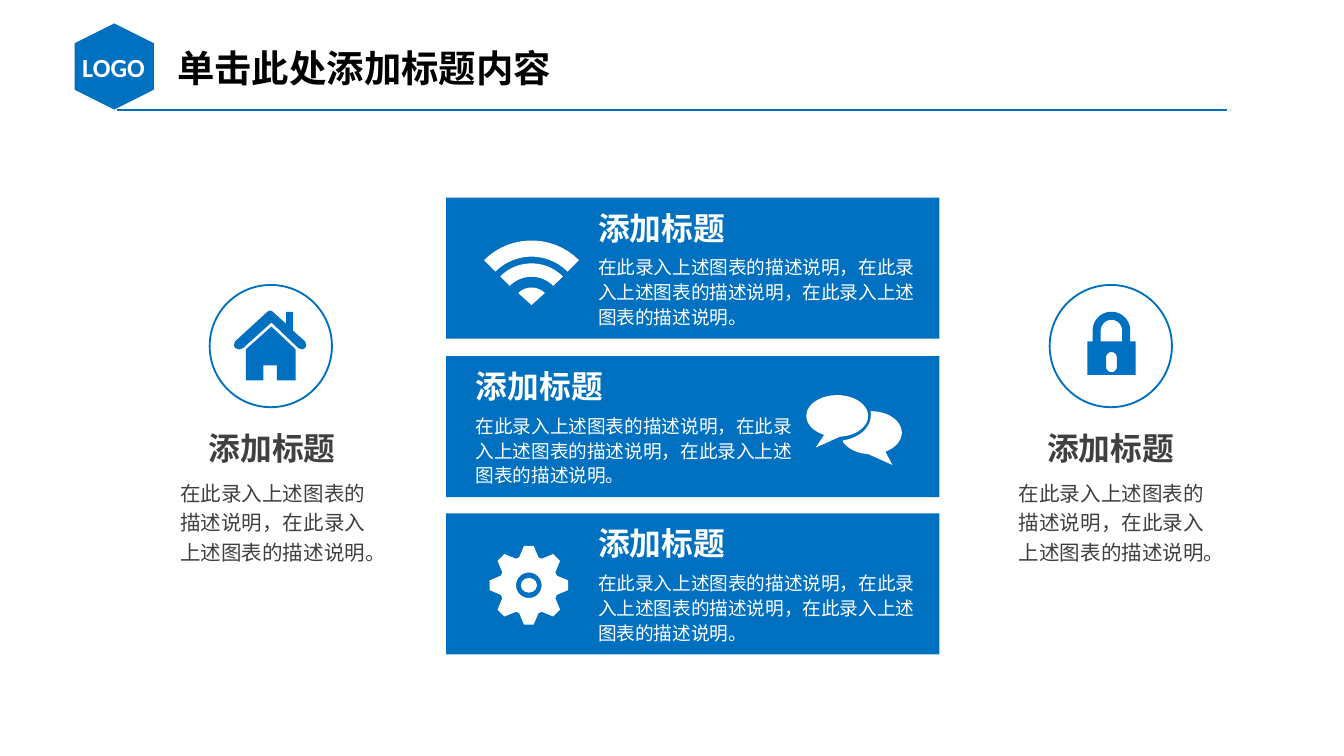
from dataclasses import dataclass
from math import cos, radians, sin

from lxml import etree
from pptx import Presentation
from pptx.dml.color import RGBColor
from pptx.enum import shapes as kinds, text as txt
from pptx.oxml import ns
from pptx.util import Pt

PX = 9144  # EMU in one px, 100 px to the inch


@dataclass(frozen=True)
class Theme:
    blue: str = "0070C0"
    white: str = "FFFFFF"
    black: str = "000000"
    grey: str = "404040"
    latin: str = "Calibri"
    cjk: str = "Noto Sans CJK SC"
    head: int = 20
    logo: int = 14
    title: int = 17
    side: int = 11
    body: int = 10


T = Theme()
TITLE = "添加标题"
PHRASE = "在此录入上述图表的描述说明"


def emu(*vals):
    return [round(v * PX) for v in vals]


def rgb(code):
    return RGBColor.from_string(code)


def shape(parent, kind, box, fill=None, line=None):
    item = parent.add_shape(kind, *emu(*box))
    paint(item, fill, line)
    return item


def paint(item, fill, line=None):
    item.shadow.inherit = False
    if fill:
        item.fill.solid()
        item.fill.fore_color.rgb = rgb(fill)
    else:
        item.fill.background()
    if line:
        item.line.color.rgb = rgb(line)
        item.line.width = Pt(1)
    else:
        item.line.fill.background()


def label(parent, box, words, size, color, bold=False, center=False,
          font=T.cjk, pad=(7, 4), gap=None):
    item = parent.add_textbox(*emu(*box))
    frame = item.text_frame
    frame.word_wrap = True
    frame.auto_size = txt.MSO_AUTO_SIZE.SHAPE_TO_FIT_TEXT
    frame.margin_left = frame.margin_right = pad[0] * PX
    frame.margin_top = frame.margin_bottom = pad[1] * PX
    para = frame.paragraphs[0]
    para.alignment = txt.PP_ALIGN.CENTER if center else txt.PP_ALIGN.LEFT
    if gap:
        para.line_spacing = gap
    run = para.add_run()
    run.text = words
    run.font.size, run.font.bold, run.font.name = Pt(size), bold, font
    run.font.color.rgb = rgb(color)
    east = etree.SubElement(run.font._element, ns.qn("a:ea"))
    east.set("typeface", font)


def arc(cx, cy, rx, ry, start, end):
    """Points along an ellipse, in degrees clockwise from the right."""
    steps = max(2, round(abs(end - start) / 6))
    turns = [radians(start + (end - start) * i / steps) for i in range(steps + 1)]
    return [(cx + rx * cos(t), cy + ry * sin(t)) for t in turns]


def draw(parent, at, color, *loops):
    """One filled outline; loops inside the first one are holes."""
    pen = None
    for loop in loops:
        pts = [emu(at[0] + x, at[1] + y) for x, y in loop]
        if pen is None:
            pen = parent.build_freeform(*pts[0], scale=1.0)
        else:
            pen.move_to(*pts[0])
        pen.add_line_segments(pts[1:], close=True)
    paint(pen.convert_to_shape(), color)


def wifi(parent, at, color):
    for outer, inner in ((50, 38), (33, 23)):
        band = arc(35.5, 49, outer, outer, 225, 315) + arc(35.5, 49, inner, inner, 315, 225)
        draw(parent, at, color, band)
    draw(parent, at, color, arc(35.5, 48, 14, 14, 225, 315) + [(35.5, 47)])


def chat(parent, at, color):
    right = (arc(48, 28, 23, 16, -90, 62) + [(64, 52)]
             + arc(48, 28, 23, 16, 95, 155) + arc(23, 15, 25, 19, 80, -8))
    draw(parent, at, color, right)
    draw(parent, at, color, arc(23, 15.5, 23, 15.5, 115, 445) + [(7, 39)])


def gear(parent, at, color):
    mid = 29.5
    rim = [(mid + r * cos(radians(45 * k + a)), mid + r * sin(radians(45 * k + a)))
           for k in range(8) for a, r in ((-19, 22), (-7, 29.5), (7, 29.5), (19, 22))]
    draw(parent, at, color, rim, arc(mid, mid, 9.5, 9.5, 360, 0))
    dot = (at[0] + 23.5, at[1] + 24, 12, 11)
    shape(parent, kinds.MSO_SHAPE.OVAL, dot, color)


def house(parent, at, color):
    walls = [(28, 12), (46, 29), (46, 52), (32, 52), (32, 41),
             (22, 41), (22, 52), (9, 52), (9, 29)]
    roof = [(27, 0), (29, 1), (39, 10), (39, 1), (44, 1), (44, 15), (53, 23),
            (54, 26), (53, 28), (51, 29), (48, 28), (28, 9), (7, 28),
            (4, 29), (1, 28), (0, 26), (1, 23), (25, 1)]
    draw(parent, at, color, walls)
    draw(parent, at, color, roof)


def lock(parent, at, color):
    body = ([(0, 47), (0, 22), (4, 22)] + arc(18, 14, 14, 14, 180, 360)
            + [(32, 22), (36, 22), (36, 47)])
    bow = [(10, 22)] + arc(18, 14, 8, 8, 180, 360) + [(26, 22)]
    key = arc(18, 34, 4, 4, 180, 360) + arc(18, 41, 4, 4, 0, 180)
    draw(parent, at, color, body, bow, key)


def header(slide, x, y):
    rule = slide.shapes.add_connector(
        kinds.MSO_CONNECTOR.STRAIGHT, *emu(x + 38, y + 62, x + 864, y + 62))
    rule.line.color.rgb = rgb(T.blue)
    rule.line.width = Pt(0.75)
    etree.SubElement(rule._element.spPr, ns.qn("a:effectLst"))
    badge = slide.shapes.add_group_shape().shapes
    shape(badge, kinds.MSO_SHAPE.HEXAGON, (x + 4, y, 64, 59), T.blue).rotation = 90
    label(badge, (x, y + 13, 71, 34), "LOGO", T.logo, T.white, True, True,
          T.latin, (10, 5))
    label(slide.shapes, (x + 73, y + 9, 394, 44), "单击此处添加标题内容",
          T.head, T.black, True, pad=(10, 5))


def panel(slide, box, icon, spot, inset):
    x, y = box[:2]
    shape(slide.shapes, kinds.MSO_SHAPE.RECTANGLE, box, T.blue)
    icon(slide.shapes.add_group_shape().shapes, (x + spot[0], y + spot[1]), T.white)
    label(slide.shapes, (x + inset, y + 4, 127, 37), TITLE, T.title, T.white, True)
    label(slide.shapes, (x + inset, y + 38, 252, 63), "，".join([PHRASE] * 3) + "。",
          T.body, T.white, gap=1.1)


def column(slide, x, y, ring, icon, spot):
    mark = slide.shapes.add_group_shape().shapes
    shape(mark, kinds.MSO_SHAPE.OVAL, (x + ring, y, 91, 91), line=T.blue)
    icon(mark, (x + spot[0], y + spot[1]), T.blue)
    label(slide.shapes, (x + 17, y + 103, 127, 37), TITLE, T.title, T.grey, True, True)
    label(slide.shapes, (x, y + 138, 162, 74), "，".join([PHRASE] * 2) + "。",
          T.side, T.grey, center=True, gap=1.2)


def main():
    deck = Presentation()
    deck.slide_width = 1000 * PX
    deck.slide_height = deck.slide_width * 9 // 16
    slide = deck.slides.add_slide(deck.slide_layouts[6])
    header(slide, 49, 20)
    rows = ((wifi, (28, 33), 106), (chat, (268, 29), 15), (gear, (32, 24), 106))
    for i, row in enumerate(rows):
        panel(slide, (332, 147 + (235 * i + 1) // 2, 367, 105), *row)
    column(slide, 122, 212, 34, house, (52, 19))
    column(slide, 746, 212, 35, lock, (63, 20))
    deck.save("out.pptx")


if __name__ == "__main__":
    main()
